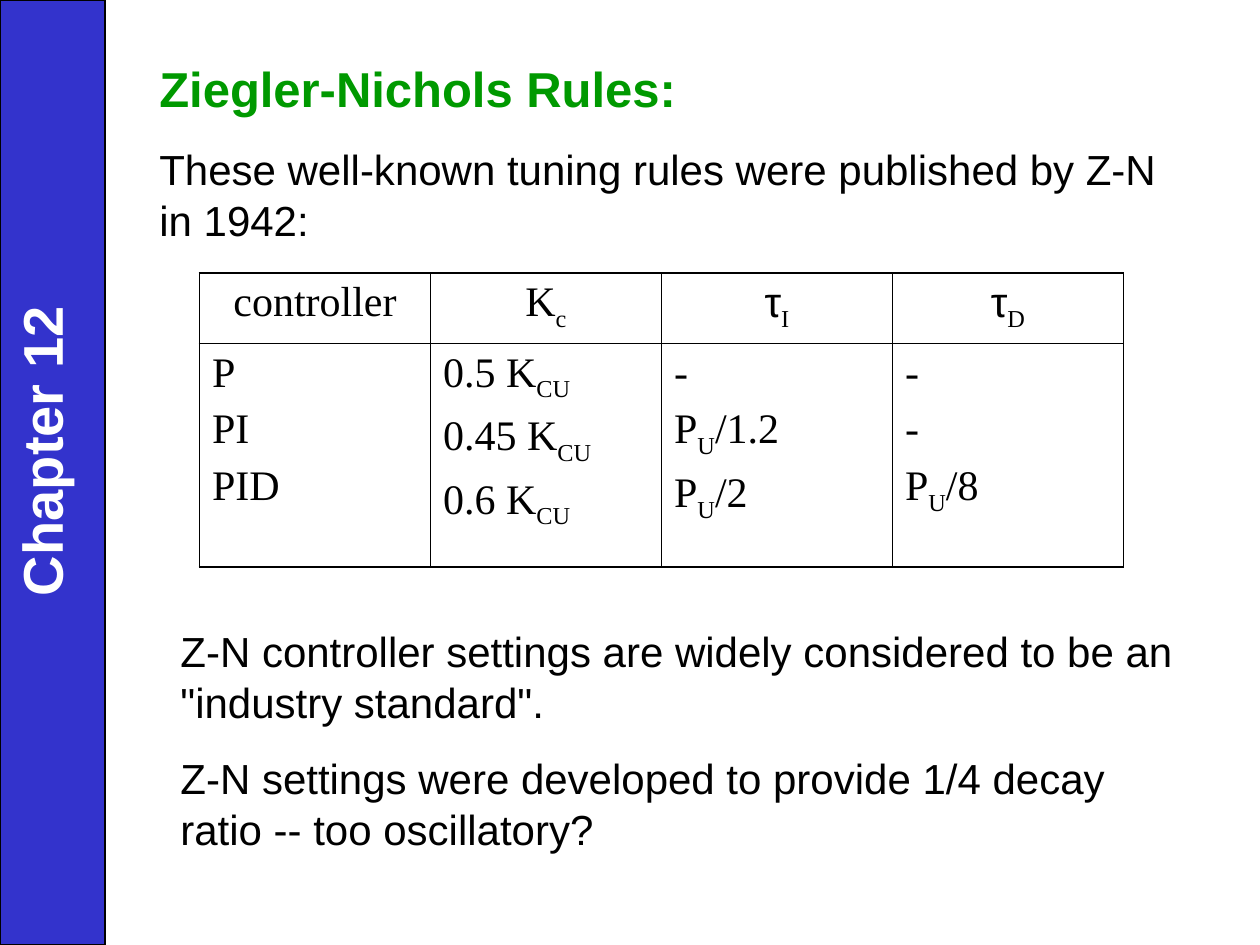
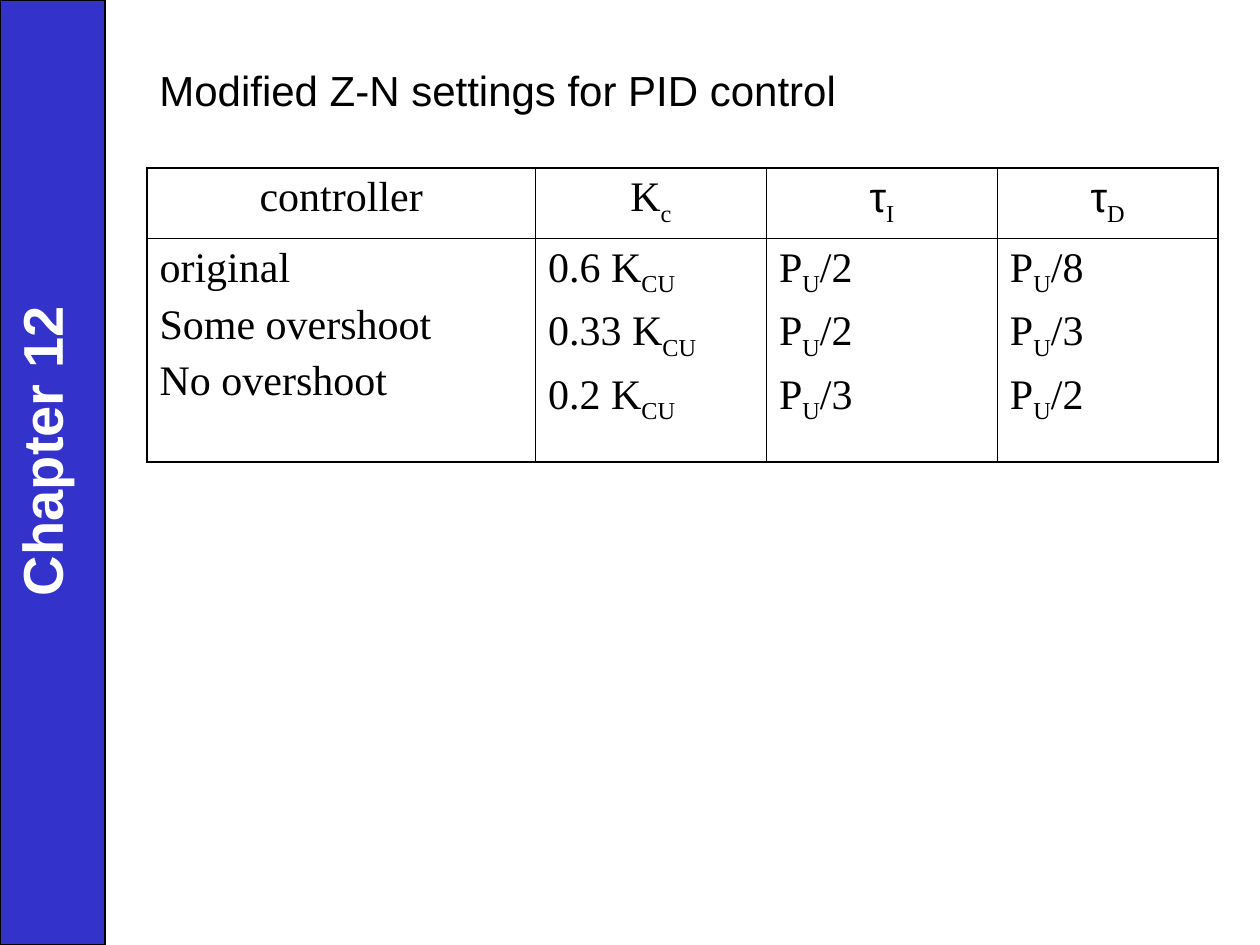
from lxml import etree
from pptx import Presentation
from pptx import util as u
from pptx.dml.color import RGBColor
from pptx.enum import shapes, text
from pptx.oxml.ns import qn

PX = 7620
BLUE = RGBColor(0x33, 0x33, 0xCC)
GREEN = RGBColor(0x00, 0x99, 0x00)
BLACK = RGBColor(0x00, 0x00, 0x00)
WHITE = RGBColor(0xFF, 0xFF, 0xFF)
SANS, SERIF = "Arial", "Times New Roman"
THIN, THICK = 0.45, 1.08
ROWS = (67, 213)
HEADER = ("controller", "K|c", "τ|I", "τ|D")


def px(*lengths):
    """Turn px lengths into EMU."""
    return [u.Emu(n * PX) for n in lengths]


def style(r, size, color=BLACK, bold=False, font=SANS):
    """Set the font of one run."""
    f = r.font
    f.name, f.size, f.bold = font, u.Pt(size), bold
    f.color.rgb = color


def add_text(s, box, lines, space=15):
    """Add a wrapped text box; each line is (words, size, color, bold)."""
    sp = s.shapes.add_textbox(*px(*box))
    tf = sp.text_frame
    tf.word_wrap = True
    tf.auto_size = text.MSO_AUTO_SIZE.SHAPE_TO_FIT_TEXT
    tf.text = "\n".join(line[0] for line in lines)
    for i, (p, line) in enumerate(zip(tf.paragraphs, lines)):
        if i:
            p.space_before = u.Pt(space)
        style(p.runs[0], *line[1:])
    return sp


def add_chapter_band(s):
    """Add the blue side band with the rotated chapter title."""
    sp = s.shapes.add_shape(shapes.MSO_SHAPE.RECTANGLE, *px(0, 0, 100, 900))
    sp.shadow.inherit = False
    sp.fill.solid()
    sp.fill.fore_color.rgb = BLUE
    sp.line.color.rgb = BLACK
    sp.line.width = u.Pt(0.75)
    title = add_text(s, (-131, 371, 340, 77), [("Chapter 12", 32, WHITE, True)])
    title.rotation = 270


def add_border(cell, side, width):
    """Draw one black edge of a cell."""
    ln = etree.SubElement(cell._tc.get_or_add_tcPr(), qn(f"a:ln{side}"), w=str(u.Pt(width)))
    fill = etree.SubElement(ln, qn("a:solidFill"))
    etree.SubElement(fill, qn("a:srgbClr"), val=str(BLACK))


def fill_formula(p, formula):
    """Write a formula whose odd parts between bars are subscripts."""
    for i, part in enumerate(formula.split("|")):
        r = p.add_run()
        r.text = part
        style(r, 24, font=SANS if part == "τ" else SERIF)
        if i % 2:
            r._r.get_or_add_rPr().set("baseline", "-25000")


def add_settings_table(s, left, top, widths, columns):
    """Add a tuning table with one header row and one row of stacked settings."""
    frame = s.shapes.add_table(2, len(widths), *px(left, top, sum(widths), sum(ROWS)))
    table = frame.table
    table.first_row = table.horz_banding = False
    for row, height in zip(table.rows, px(*ROWS)):
        row.height = height
    last = len(widths) - 1
    for c, (width, settings) in enumerate(zip(px(*widths), columns)):
        table.columns[c].width = width
        for r, formulas in enumerate(([HEADER[c]], settings)):
            cell = table.cell(r, c)
            outer = {"L": c == 0, "R": c == last, "T": r == 0, "B": r == 1}
            for side, is_outer in outer.items():
                add_border(cell, side, THICK if is_outer else THIN)
            cell.fill.background()
            tf = cell.text_frame
            for i, formula in enumerate(formulas):
                p = tf.add_paragraph() if i else tf.paragraphs[0]
                if i:
                    p.space_before = u.Pt(6)
                if r == 0:
                    p.alignment = text.PP_ALIGN.CENTER
                fill_formula(p, formula)


def add_slide(prs):
    """Add a blank slide with the chapter band."""
    s = prs.slides.add_slide(prs.slide_layouts[6])
    add_chapter_band(s)
    return s


def main():
    """Build both slides and save them."""
    prs = Presentation()
    prs.slide_width, prs.slide_height = px(1200, 900)

    s = add_slide(prs)
    add_text(s, (140, 50, 1010, 190), [
        ("Ziegler-Nichols Rules:", 28, GREEN, True),
        ("These well-known tuning rules were published by Z-N in 1942:", 24),
    ])
    add_settings_table(s, 190, 260, [220] * 4, [
        ("P", "PI", "PID"),
        ("0.5 K|CU", "0.45 K|CU", "0.6 K|CU"),
        ("-", "P|U|/1.2", "P|U|/2"),
        ("-", "-", "P|U|/8"),
    ])
    add_text(s, (160, 590, 980, 229), [
        ('Z-N controller settings are widely considered to be an "industry standard".', 24),
        ("Z-N settings were developed to provide 1/4 decay ratio -- too oscillatory?", 24),
    ])

    s = add_slide(prs)
    add_text(s, (140, 56, 1010, 62), [("Modified Z-N settings for PID control", 24)])
    add_settings_table(s, 140, 160, [370, 220, 220, 210], [
        ("original", "Some overshoot", "No overshoot"),
        ("0.6 K|CU", "0.33 K|CU", "0.2 K|CU"),
        ("P|U|/2", "P|U|/2", "P|U|/3"),
        ("P|U|/8", "P|U|/3", "P|U|/2"),
    ])
    prs.save("out.pptx")


if __name__ == "__main__":
    main()
